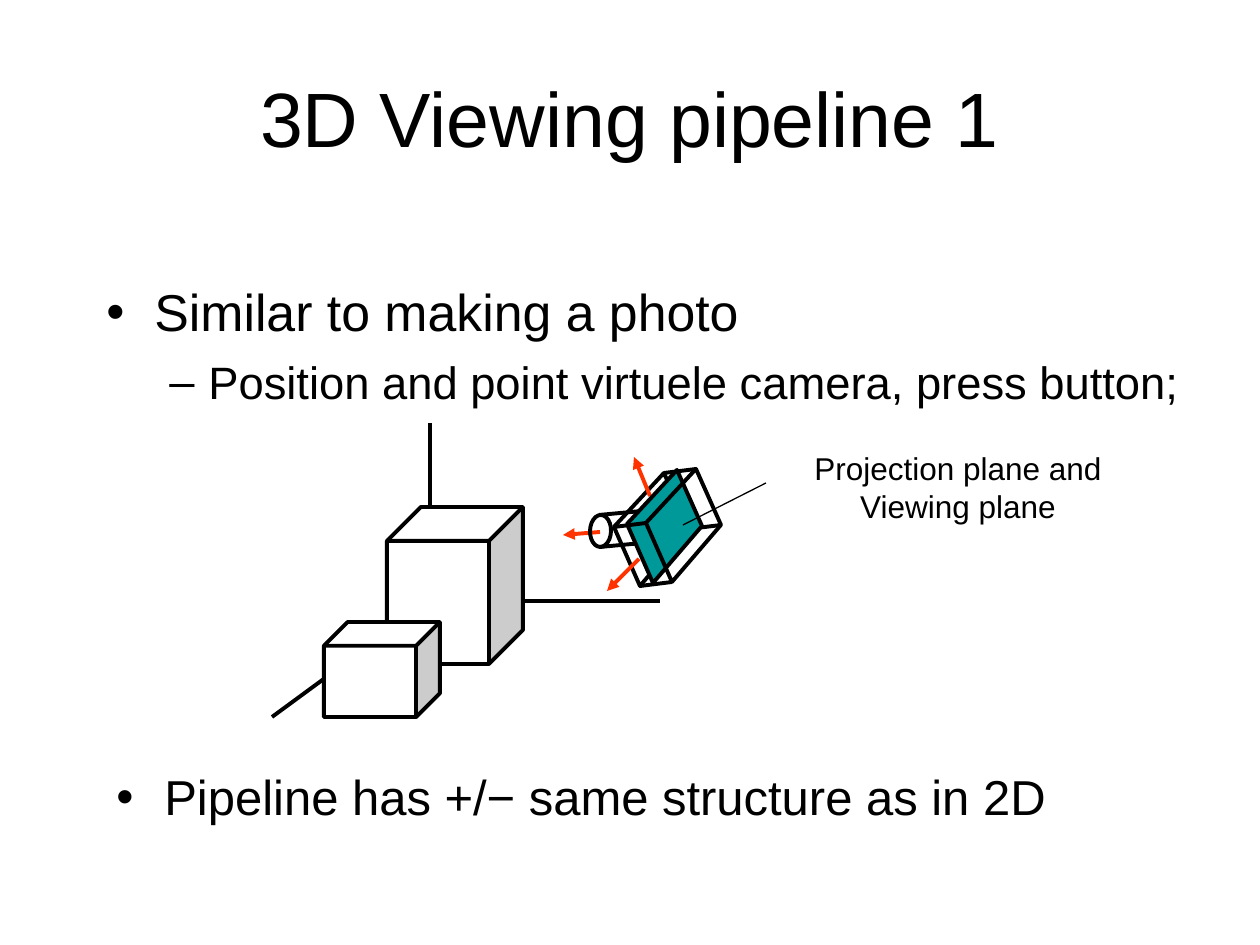
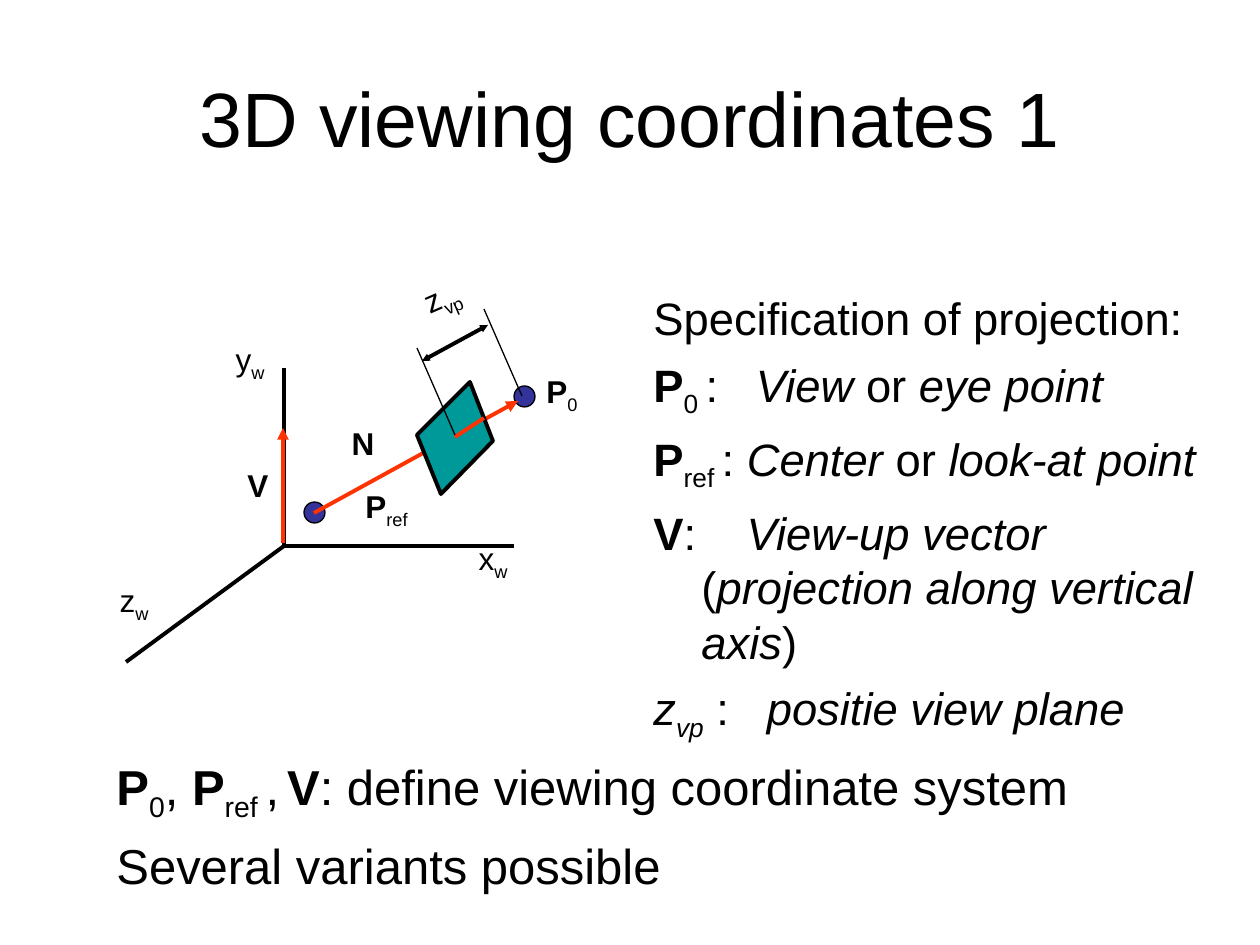
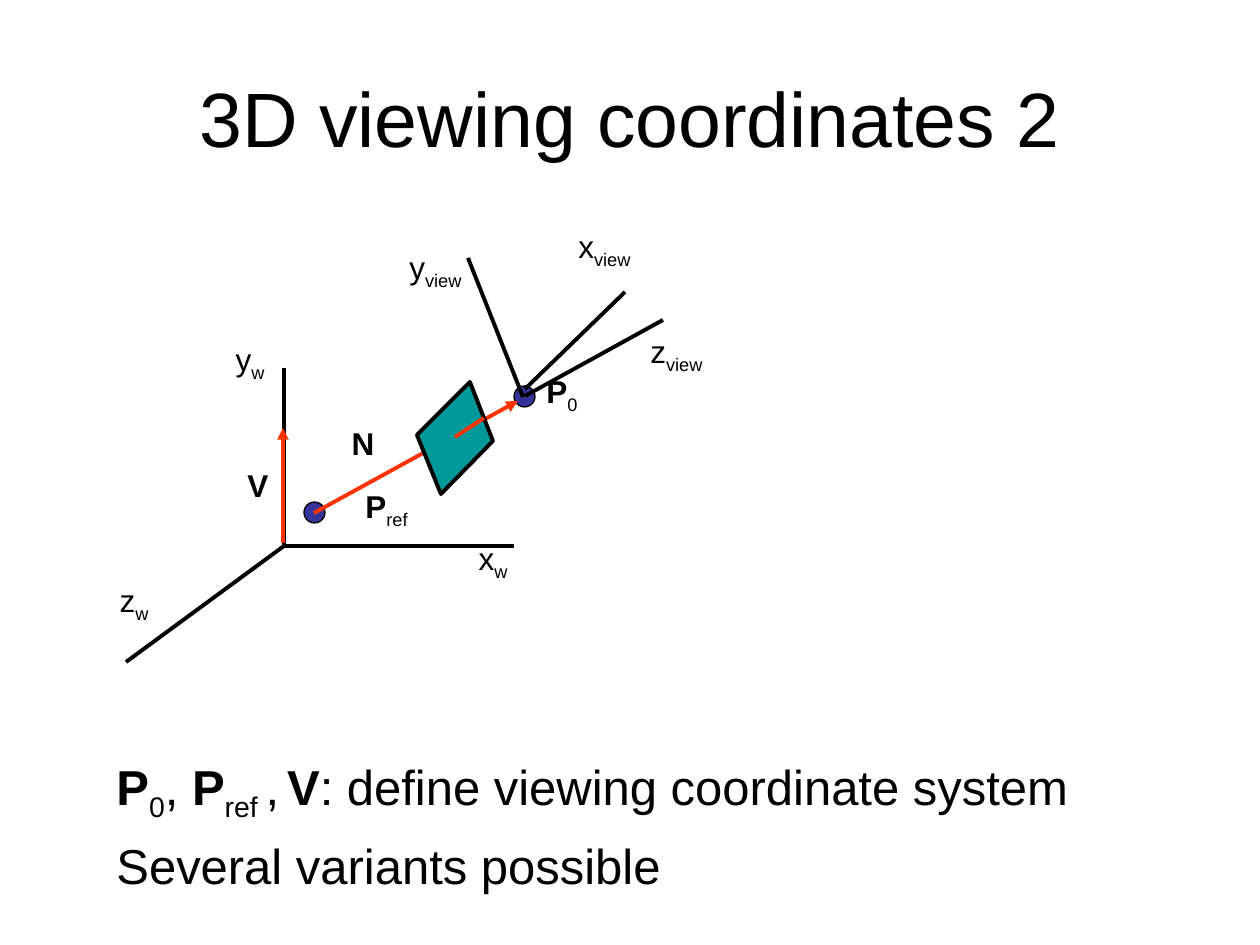
import pptx
import pptx.util
import pptx.dml.color
import pptx.enum.shapes
import pptx.enum.text
import pptx.oxml.ns
import lxml.etree

PX = 914400 / 126
FONT = "Arial"
BLACK, WHITE, RED, TEAL, NAVY = "000000", "FFFFFF", "FF3300", "009999", "333399"
THICK, THIN = 2.25, 0.75
SPACE_WIDTH = 0.278  # of the font size
SHAPE = pptx.enum.shapes.MSO_SHAPE
ALIGN = pptx.enum.text.PP_ALIGN

# ---- Content: a run is (text, style); b bold, i italic, _ subscript, digit = gap in spaces
TITLES = ["3D Viewing pipeline 1", "3D viewing coordinates 1", "3D viewing coordinates 2"]
TITLE_AREA = (63, 38, 1134, 158)

PHOTO_AREA = (94, 274, 1121, 179)
PHOTO_POINTS = [
    ("Similar to making a photo", dict(size=29.6, before=8, bullet="•", margin=48, hang=48)),
    ("Position and point virtuele camera, press button;",
     dict(size=25.9, before=7, bullet="–", margin=102, hang=39)),
]
PIPELINE_AREA = (104, 767, 1071, 116)
PIPELINE_POINT = "Pipeline has +/− same structure as in 2D"
PLANE_LABEL_AREA = (802, 443, 312, 88)
PLANE_LABEL = ["Projection plane and", "Viewing plane"]

SPECIFICATION_AREA = (641, 284, 599, 504)
SPECIFICATION = [
    "Specification of projection:",
    [("P", "b"), ("0 ", "_"), (":", ""), (" ", "3"), ("View ", "i"), ("or", ""),
     (" eye point", "i")],
    [("P", "b"), ("ref ", "_"), (": ", ""), ("Center ", "i"), ("or ", ""),
     ("look-at point", "i")],
    [("V", "b"), (":", ""), (" ", "4"), ("View-up vector ", "i"), ("(", ""),
     ("projection along vertical axis", "i"), (")", "")],
    [("z", "i"), ("vp", "i_"), (" :", ""), (" ", "3"), ("positie view plane", "i")],
]
SUMMARY_AREA = (104, 750, 1103, 158)
SUMMARY = [
    [("P", "b"), ("0", "_"), (", ", ""), ("P", "b"), ("ref ", "_"), (",", ""), (" ", "_"),
     ("V", "b"), (": define viewing coordinate system", "")],
    "Several variants possible",
]

# Labels: letter, subscript, letter style, area
WORLD_LABELS = [
    ("P", "0", "b", (534, 366, 60, 55)),
    ("z", "w", "", (105, 575, 58, 55)),
    ("y", "w", "", (221, 334, 58, 55)),
    ("x", "w", "", (464, 533, 58, 55)),
    ("P", "ref", "b", (353, 481, 76, 55)),
    ("N", "", "b", (339, 418, 48, 50)),
    ("V", "", "b", (235, 460, 45, 50)),
]
VIEW_LABELS = [
    ("z", "view", "", (632, 326, 89, 55)),
    ("y", "view", "", (391, 242, 89, 55)),
    ("x", "view", "", (560, 221, 89, 55)),
]
DISTANCE_LABEL = ("z", "vp", "", (412, 271, 60, 55))

# ---- Geometry
AXIS_ENDS = [(0, -178), (-158, 116), (230, 0)]  # y, z, x from the origin
PHOTO_ORIGIN, WORLD_ORIGIN = (430, 601), (284, 546)
CUBES = [(387, 507, 136, 157), (324, 622, 116, 95)]
PLATE = [(0, 0), (26, 59), (75, 2), (50, -54)]
BACK, PROJECTION, FRONT = (614, 527), (627, 524), (646, 523)
LENS_RINGS = [(644, 510, 21, 32), (590, 515, 21, 32)]
LENS_SIDES = [((599, 515), (653, 510)), ((600, 547), (653, 542))]
LENS_RAY = ((600, 532), (563, 535))
CAMERA_RAYS = [((639, 559), (607, 591)), ((650, 496), (634, 457))]
PLANE_LEADER = ((683, 525), (766, 483))

VIEW_PLANE = [(417, 435), (441, 494), (493, 441), (470, 382)]
POINTS = [(514, 386, 21, 21), (304, 502, 21, 21)]
NORMAL = ((314, 513), (518, 401))
NORMAL_IN_FRONT = ((455, 437), (484, 418))
VIEW_UP = ((283, 543), (283, 428))
DISTANCE_GUIDES = [((455, 435), (417, 348)), ((522, 396), (484, 309))]
DISTANCE = ((488, 325), (422, 361))
VIEW_AXES = [((663, 320), (525, 396)), ((625, 292), (525, 389)), ((468, 258), (523, 397))]


# ---- Drawing helpers
def emu(px):
    return pptx.util.Emu(round(px * PX))


def rgb(colour):
    return pptx.dml.color.RGBColor.from_string(colour)


def add_xml(parent, tag, **attributes):
    lxml.etree.SubElement(parent, pptx.oxml.ns.qn(tag), attributes)


def write(frame, text, size=18, before=0, bullet=None, margin=0, hang=0, spacing=None,
          align=ALIGN.LEFT):
    """Add one paragraph, given as a string or a list of runs."""
    paragraph = frame.paragraphs[0]
    if paragraph.runs:
        paragraph = frame.add_paragraph()
    paragraph.alignment = align
    paragraph.space_before = pptx.util.Pt(before)
    if spacing:
        paragraph.line_spacing = spacing
    properties = paragraph._p.get_or_add_pPr()
    properties.set("marL", str(emu(margin)))
    properties.set("indent", str(emu(-hang)))
    if bullet:
        add_xml(properties, "a:buFont", typeface=FONT)
        add_xml(properties, "a:buChar", char=bullet)
    for words, style in [(text, "")] if isinstance(text, str) else text:
        run = paragraph.add_run()
        run.text = words
        run.font.name, run.font.size = FONT, pptx.util.Pt(size)
        run.font.color.rgb = rgb(BLACK)
        run.font.bold, run.font.italic = "b" in style, "i" in style
        if "_" in style:
            run._r.get_or_add_rPr().set("baseline", "-25000")
        if style.isdigit():
            stretch = (int(style) - 1) * SPACE_WIDTH * size
            run._r.get_or_add_rPr().set("spc", str(round(stretch * 100)))


def text_box(slide, area, wrap=True, rotation=0):
    box = slide.shapes.add_textbox(*map(emu, area))
    box.rotation = rotation
    box.text_frame.word_wrap = wrap
    if not wrap:
        box.text_frame.auto_size = pptx.enum.text.MSO_AUTO_SIZE.SHAPE_TO_FIT_TEXT
    return box.text_frame


def label(slide, letter, subscript, style, area, rotation=0):
    runs = [(letter, style)] + ([(subscript, "_")] if subscript else [])
    align = ALIGN.LEFT if subscript in ("0", "ref", "vp") else ALIGN.CENTER
    write(text_box(slide, area, wrap=False, rotation=rotation), runs, align=align)


def line(slide, ends, colour=BLACK, width=THICK, arrows=(), tip="med"):
    (x1, y1), (x2, y2) = ends
    stroke = slide.shapes.add_connector(
        pptx.enum.shapes.MSO_CONNECTOR.STRAIGHT, emu(x1), emu(y1), emu(x2), emu(y2))
    stroke.line.color.rgb = rgb(colour)
    stroke.line.width = pptx.util.Pt(width)
    for end in arrows:
        add_xml(stroke.line._get_or_add_ln(), "a:" + end, type="triangle", w=tip, len=tip)
    add_xml(stroke._element.spPr, "a:effectLst")


def arrow(slide, ends):
    line(slide, ends, RED, arrows=["tailEnd"])


def paint(shape, fill=None, width=THICK):
    shape.shadow.inherit = False
    if fill:
        shape.fill.solid()
        shape.fill.fore_color.rgb = rgb(fill)
    else:
        shape.fill.background()
    shape.line.color.rgb = rgb(BLACK)
    shape.line.width = pptx.util.Pt(width)


def preset(slide, kind, area, fill=None, width=THICK, rotation=0):
    shape = slide.shapes.add_shape(kind, *map(emu, area))
    shape.rotation = rotation
    paint(shape, fill, width)


def polygon(slide, corners, fill=None):
    builder = slide.shapes.build_freeform(*corners[0], scale=PX)
    builder.add_line_segments(corners[1:], close=True)
    paint(builder.convert_to_shape(), fill)


def shifted(offsets, start):
    return [(start[0] + dx, start[1] + dy) for dx, dy in offsets]


def axes(slide, origin):
    for end in shifted(AXIS_ENDS, origin):
        line(slide, (origin, end))


def titled_slide(deck, title):
    slide = deck.slides.add_slide(deck.slide_layouts[5])
    heading = slide.shapes.title
    heading.left, heading.top, heading.width, heading.height = map(emu, TITLE_AREA)
    heading.text_frame.vertical_anchor = pptx.enum.text.MSO_ANCHOR.MIDDLE
    write(heading.text_frame, title, size=44, align=ALIGN.CENTER)
    return slide


# ---- Slide parts
def camera(slide):
    back, projection, front = (shifted(PLATE, start) for start in (BACK, PROJECTION, FRONT))
    left_edge, *other_edges = zip(back, front)
    polygon(slide, back)
    for edge in other_edges:
        line(slide, edge)
    for ring in LENS_RINGS:
        preset(slide, SHAPE.OVAL, ring, rotation=1.8)
    for side in LENS_SIDES:
        line(slide, side)
    for ray in CAMERA_RAYS:
        arrow(slide, ray)
    polygon(slide, projection, TEAL)
    line(slide, PLANE_LEADER, width=THIN)
    polygon(slide, front)
    line(slide, left_edge)


def photo_slide(slide):
    arrow(slide, LENS_RAY)
    points = text_box(slide, PHOTO_AREA)
    for text, style in PHOTO_POINTS:
        write(points, text, **style)
    axes(slide, PHOTO_ORIGIN)
    for cube in CUBES:
        preset(slide, SHAPE.CUBE, cube, WHITE)
    camera(slide)
    plane_label = text_box(slide, PLANE_LABEL_AREA, wrap=False)
    for text in PLANE_LABEL:
        write(plane_label, text, align=ALIGN.CENTER)
    write(text_box(slide, PIPELINE_AREA), PIPELINE_POINT, size=28, before=7, bullet="•",
          margin=48, hang=48, spacing=0.9)


def paragraphs(slide, area, texts, size):
    frame = text_box(slide, area)
    for text in texts:
        write(frame, text, size=size, before=7, margin=48, hang=48)


def world(slide):
    axes(slide, WORLD_ORIGIN)
    for point in POINTS:
        preset(slide, SHAPE.OVAL, point, NAVY, THIN)
    for parts in WORLD_LABELS:
        label(slide, *parts)
    arrow(slide, NORMAL)
    arrow(slide, VIEW_UP)
    polygon(slide, VIEW_PLANE, TEAL)
    line(slide, NORMAL_IN_FRONT, RED)
    paragraphs(slide, SUMMARY_AREA, SUMMARY, 28)


def specification_slide(slide):
    paragraphs(slide, SPECIFICATION_AREA, SPECIFICATION, 25.9)
    world(slide)
    for guide in DISTANCE_GUIDES:
        line(slide, guide, width=THIN)
    line(slide, DISTANCE, arrows=["headEnd", "tailEnd"], tip="sm")
    label(slide, *DISTANCE_LABEL, rotation=336.3)


def view_axes_slide(slide):
    world(slide)
    for axis in VIEW_AXES:
        line(slide, axis)
    for parts in VIEW_LABELS:
        label(slide, *parts)


def main():
    deck = pptx.Presentation()
    deck.slide_width, deck.slide_height = emu(1260), emu(945)
    for title, fill_in in zip(TITLES, (photo_slide, specification_slide, view_axes_slide)):
        fill_in(titled_slide(deck, title))
    deck.save("out.pptx")


if __name__ == "__main__":
    main()
